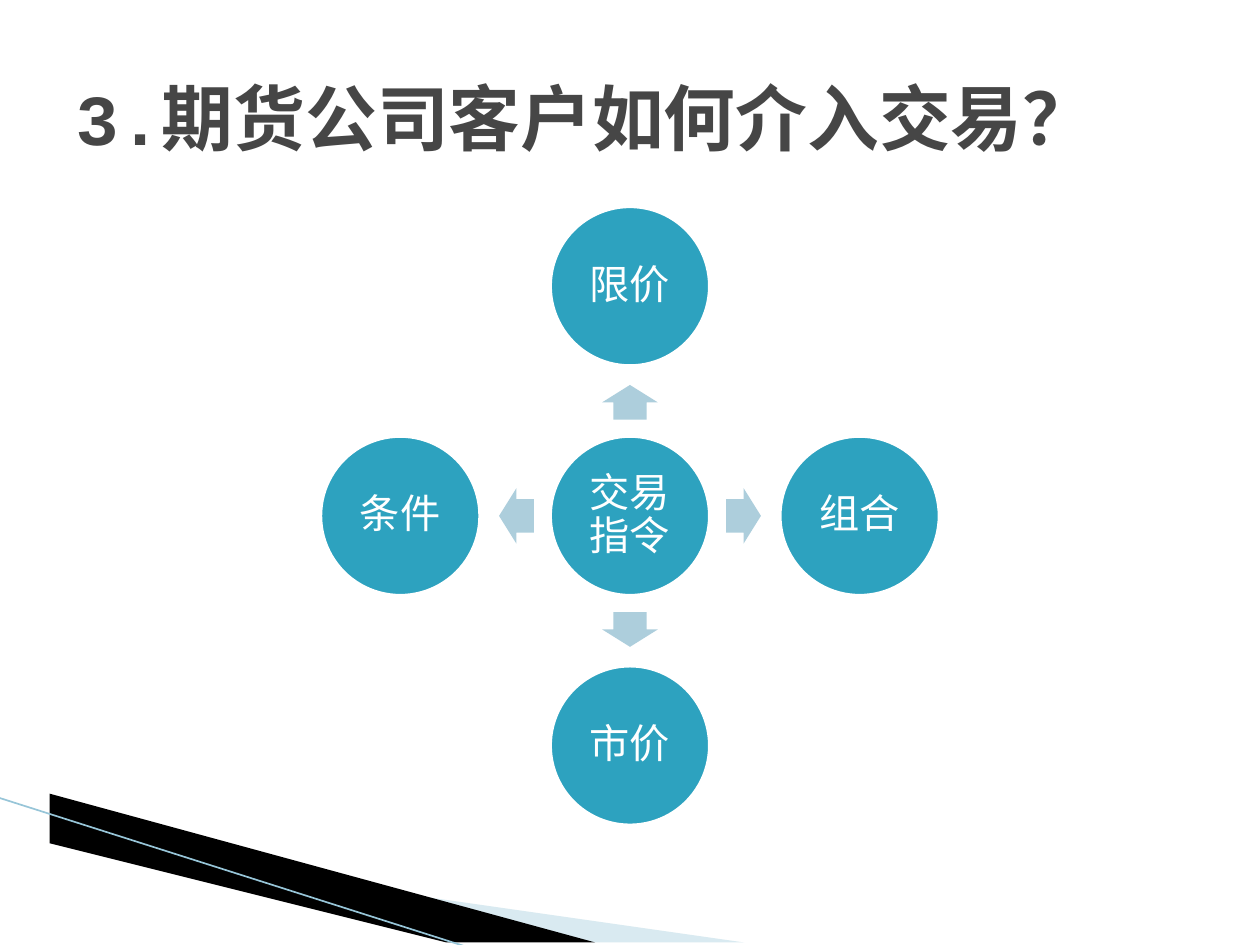
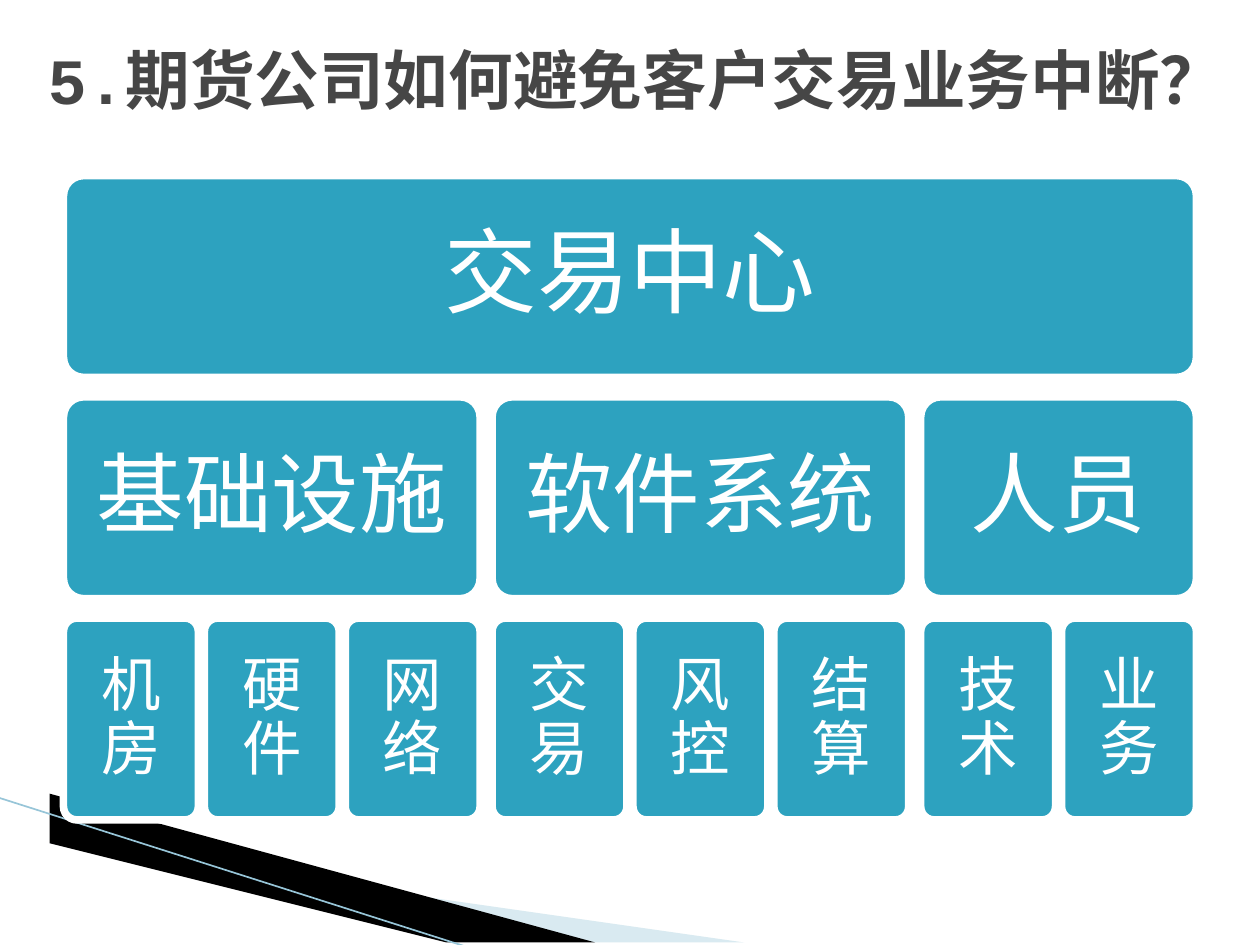
import pptx
import pptx.util
import pptx.dml.color
import pptx.enum.shapes
import pptx.enum.text
import pptx.oxml
import pptx.oxml.ns
from lxml import etree

Cm, Pt = pptx.util.Cm, pptx.util.Pt
SHAPE = pptx.enum.shapes.MSO_SHAPE
ALIGN = pptx.enum.text.PP_ALIGN
ANCHOR = pptx.enum.text.MSO_ANCHOR

FONT = "Courier New"
TEAL, PALE_TEAL, WHITE, GREY = "2DA2BF", "ADCEDC", "FFFFFF", "464646"
EDGE_PALE, EDGE_DARK, EDGE_LINE = "A0CBDC", "000000", "97C5D8"


def rgb(value):
    return pptx.dml.color.RGBColor.from_string(value)


def sub(parent, tag, **attrs):
    return etree.SubElement(parent, pptx.oxml.ns.qn(tag), **attrs)


class Deck:
    """Holds the shared style and the slide being built."""

    def __init__(self):
        self.prs = pptx.Presentation()
        self.prs.slide_width, self.prs.slide_height = Cm(25.4), Cm(19.05)
        self.s = None

    def slide(self, title, box, size):
        self.s = self.prs.slides.add_slide(self.prs.slide_layouts[5])
        sp = self.s.shapes.title
        for name, value in zip(("left", "top", "width", "height"), box):
            setattr(sp, name, Cm(value))
        self.text(sp.text_frame, title, size, GREY, ALIGN.LEFT, bold=True)
        self.corner()

    def text(self, tf, text, size, color, align, bold=False, spacing=1.0):
        frame = {"word_wrap": True, "vertical_anchor": ANCHOR.MIDDLE,
                 "auto_size": pptx.enum.text.MSO_AUTO_SIZE.NONE}
        for name, value in frame.items():
            setattr(tf, name, value)
        p = tf.paragraphs[0]
        p.alignment, p.line_spacing = align, spacing
        r = p.add_run()
        r.text = text
        for name, value in {"name": FONT, "size": Pt(size), "bold": bold}.items():
            setattr(r.font, name, value)
        r.font.color.rgb = rgb(color)

    def paint(self, sp, fill, line=None, alpha=None):
        sp.shadow.inherit = False
        sp.fill.solid()
        sp.fill.fore_color.rgb = rgb(fill)
        if alpha:
            color = sp.fill._xPr.find(".//" + pptx.oxml.ns.qn("a:srgbClr"))
            sub(color, "a:alpha", val=str(alpha * 1000))
        if line:
            sp.line.color.rgb = rgb(line)
            sp.line.width = Pt(4.33)
        else:
            sp.line.fill.background()

    def node(self, kind, box, text, size, inset):
        """Teal shape with a white outline and a centred label."""
        sp = self.s.shapes.add_shape(kind, *map(Cm, box))
        self.paint(sp, TEAL, WHITE)
        if kind == SHAPE.ROUNDED_RECTANGLE:
            sp.adjustments[0] = 0.1
        tf = sp.text_frame
        for side in ("left", "top", "right", "bottom"):
            setattr(tf, "margin_" + side, Cm(inset))
        self.text(tf, text, size, WHITE, ALIGN.CENTER, spacing=0.9)

    def arrow(self, cx, cy, rotation):
        w, h = 0.7, 1.12
        sp = self.s.shapes.add_shape(SHAPE.RIGHT_ARROW, Cm(cx - w / 2),
                                     Cm(cy - h / 2), Cm(w), Cm(h))
        sp.adjustments[0], sp.adjustments[1] = 0.6, 0.5
        sp.rotation = rotation
        self.paint(sp, PALE_TEAL)

    def wedge(self, points, fill, alpha=None):
        start, *rest = points
        builder = self.s.shapes.build_freeform(*start, scale=Cm(1))
        builder.add_line_segments(rest, close=True)
        self.paint(builder.convert_to_shape(), fill, alpha=alpha)

    def corner(self):
        """Bottom-left decoration found on every slide."""
        self.wedge([(1.4, 16.54), (15.11, 19.08), (11.58, 19.08), (1.4, 16.51)],
                   EDGE_PALE, alpha=40)
        self.wedge([(1.35, 16.48), (11.61, 19.08), (9.45, 19.1), (1.37, 16.51)],
                   EDGE_DARK)
        line = self.s.shapes.add_connector(
            pptx.enum.shapes.MSO_CONNECTOR.STRAIGHT,
            Cm(-0.03), Cm(16.08), Cm(9.45), Cm(19.1))
        line.line.color.rgb = rgb(EDGE_LINE)
        line.line.width = Pt(0.95)
        sub(line._element.spPr, "a:effectLst")


def order_types(deck):
    deck.slide("3.期货公司客户如何介入交易？", (1.27, 0.76, 22.86, 3.18), 41)
    cx, cy, diameter, circle_step, arrow_step = 12.7, 10.4, 3.3, 4.63, 2.29

    def circle(x, y, text):
        box = (x - diameter / 2, y - diameter / 2, diameter, diameter)
        deck.node(SHAPE.OVAL, box, text, 23, 0.08)

    circle(cx, cy, "交易指令")
    orders = [("限价", 0, -1, 270), ("组合", 1, 0, 0),
              ("市价", 0, 1, 90), ("条件", -1, 0, 180)]
    for text, dx, dy, rotation in orders:
        deck.arrow(cx + dx * arrow_step, cy + dy * arrow_step, rotation)
        circle(cx + dx * circle_step, cy + dy * circle_step, text)


def trading_center(deck):
    deck.slide("5.期货公司如何避免客户交易业务中断？", (0.71, 0, 24.13, 3.18), 36.9)
    left, top, height, row_step = 1.28, 3.54, 4.07, 4.46
    leaf_width, leaf_gap, group_gap = 2.72, 0.12, 0.24
    groups = {"基础设施": ["机房", "硬件", "网络"],
              "软件系统": ["交易", "风控", "结算"],
              "人员": ["技术", "业务"]}

    def block(row, x, width, text, size, inset):
        box = (x, top + row * row_step, width, height)
        deck.node(SHAPE.ROUNDED_RECTANGLE, box, text, size, inset)

    x = left
    for group, leaves in groups.items():
        width = len(leaves) * (leaf_width + leaf_gap) - leaf_gap
        block(1, x, width, group, 50, 0.53)
        for i, leaf in enumerate(leaves):
            block(2, x + i * (leaf_width + leaf_gap), leaf_width, leaf, 34, 0.36)
        x += width + group_gap
    block(0, left, x - group_gap - left, "交易中心", 53, 0.56)


def main():
    deck = Deck()
    order_types(deck)
    trading_center(deck)
    deck.prs.save("out.pptx")


if __name__ == "__main__":
    main()
